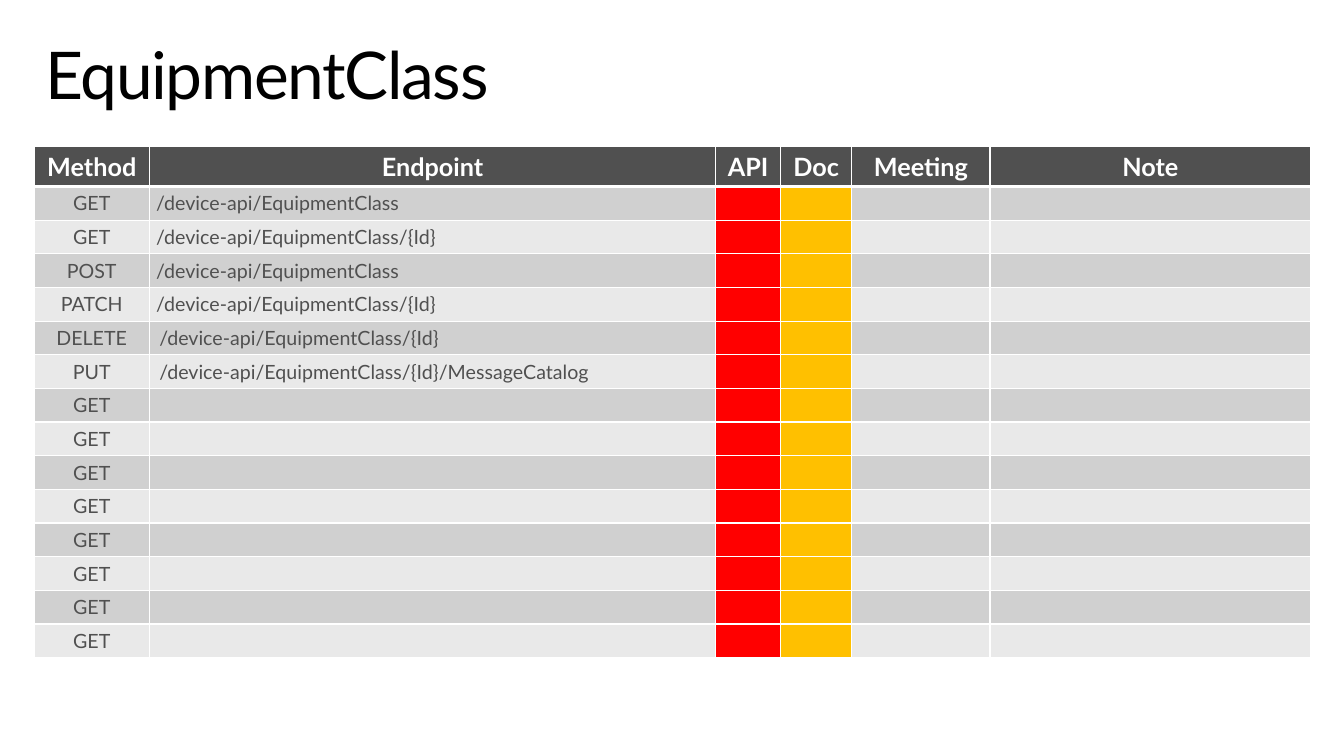
from lxml import etree
from pptx import Presentation
from pptx.dml.color import RGBColor
from pptx.enum.text import MSO_ANCHOR, PP_ALIGN
from pptx.oxml.ns import qn
from pptx.util import Inches, Pt

CENTER, LEFT = PP_ALIGN.CENTER, PP_ALIGN.LEFT
TOP, MIDDLE = MSO_ANCHOR.TOP, MSO_ANCHOR.MIDDLE

BLACK = RGBColor(0x00, 0x00, 0x00)
WHITE = RGBColor(0xFF, 0xFF, 0xFF)
DARK_GRAY = RGBColor(0x50, 0x50, 0x50)
BAND_DARK = RGBColor(0xD0, 0xD0, 0xD0)
BAND_LIGHT = RGBColor(0xE9, 0xE9, 0xE9)
RED = RGBColor(0xFF, 0x00, 0x00)
AMBER = RGBColor(0xFF, 0xC0, 0x00)

FONT = "Lato"
HEADERS = ["Method", "Endpoint", "API", "Doc", "Meeting", "Note"]
COLUMN_WIDTHS = [1.14, 5.62, 0.64, 0.71, 1.37, 3.18]
HEADER_HEIGHT, ROW_HEIGHT = 0.38, 0.32
STATUS_COLORS = {"API": RED, "Doc": AMBER}
REQUESTS = [
    ("GET", "/device-api/EquipmentClass"),
    ("GET", "/device-api/EquipmentClass/{Id}"),
    ("POST", "/device-api/EquipmentClass"),
    ("PATCH", "/device-api/EquipmentClass/{Id}"),
    ("DELETE", "/device-api/EquipmentClass/{Id}"),
    ("PUT", "/device-api/EquipmentClass/{Id}/MessageCatalog"),
] + [("GET", "")] * 8
TIGHT_ROWS = range(1, 5)  # endpoints with narrower cell margins


def set_borders(cell, top_width, bottom_width):
    """Draw white borders, 1 pt at the sides and the given points above and below."""
    properties = cell._tc.get_or_add_tcPr()
    sides = [("a:lnL", 1), ("a:lnR", 1), ("a:lnT", top_width), ("a:lnB", bottom_width)]
    for index, (tag, width) in enumerate(sides):
        line = etree.Element(qn(tag), w=str(Pt(width)))
        fill = etree.SubElement(line, qn("a:solidFill"))
        etree.SubElement(fill, qn("a:srgbClr"), val=str(WHITE))
        properties.insert(index, line)


def write(paragraph, text, size, color, bold=False):
    paragraph.font.name = FONT
    paragraph.font.size = Pt(size)
    paragraph.font.bold = bold
    paragraph.font.color.rgb = color
    if text:
        paragraph.add_run().text = text
    else:
        # An empty paragraph takes its line height from its end mark
        etree.SubElement(paragraph._p, qn("a:endParaRPr"), sz=str(size * 100))


presentation = Presentation()
presentation.slide_width = Inches(13.33)
presentation.slide_height = Inches(7.5)
slide = presentation.slides.add_slide(presentation.slide_layouts[6])

table_height = HEADER_HEIGHT + ROW_HEIGHT * len(REQUESTS)
table = slide.shapes.add_table(
    len(REQUESTS) + 1, len(HEADERS),
    Inches(0.34), Inches(1.45), Inches(sum(COLUMN_WIDTHS)), Inches(table_height),
).table
for column, width in zip(table.columns, COLUMN_WIDTHS):
    column.width = Inches(width)

rows = [HEADERS] + [[method, endpoint, "", "", "", ""] for method, endpoint in REQUESTS]
for row_index, texts in enumerate(rows):
    is_header = row_index == 0
    table.rows[row_index].height = Inches(HEADER_HEIGHT if is_header else ROW_HEIGHT)
    band = BAND_DARK if row_index % 2 else BAND_LIGHT
    for column_index, (header, text) in enumerate(zip(HEADERS, texts)):
        cell = table.cell(row_index, column_index)
        paragraph = cell.text_frame.paragraphs[0]
        paragraph.alignment = CENTER if is_header or header == "Method" else LEFT
        cell.fill.solid()
        if is_header:
            cell.fill.fore_color.rgb = DARK_GRAY
            write(paragraph, text, 18, WHITE, bold=True)
        else:
            cell.fill.fore_color.rgb = STATUS_COLORS.get(header, band)
            write(paragraph, text, 14, DARK_GRAY)
        if header == "Endpoint" and row_index in TIGHT_ROWS:
            cell.vertical_anchor = MIDDLE
            cell.margin_left = cell.margin_right = Inches(0.07)
            cell.margin_top = cell.margin_bottom = 0
        set_borders(cell, 3 if row_index == 1 else 1, 3 if is_header else 1)

title = slide.shapes.add_textbox(Inches(0.29), Inches(0.32), Inches(12.75), Inches(0.98))
title_frame = title.text_frame
title_frame.word_wrap = True
title_frame.vertical_anchor = TOP
title_frame.margin_left = title_frame.margin_right = Inches(0.16)
title_frame.margin_top = title_frame.margin_bottom = Inches(0.1)
title_paragraph = title_frame.paragraphs[0]
title_paragraph.line_spacing = 0.9
write(title_paragraph, "EquipmentClass", 47, BLACK)
title_paragraph.runs[0]._r.get_or_add_rPr().set("spc", "-100")

presentation.save("out.pptx")
